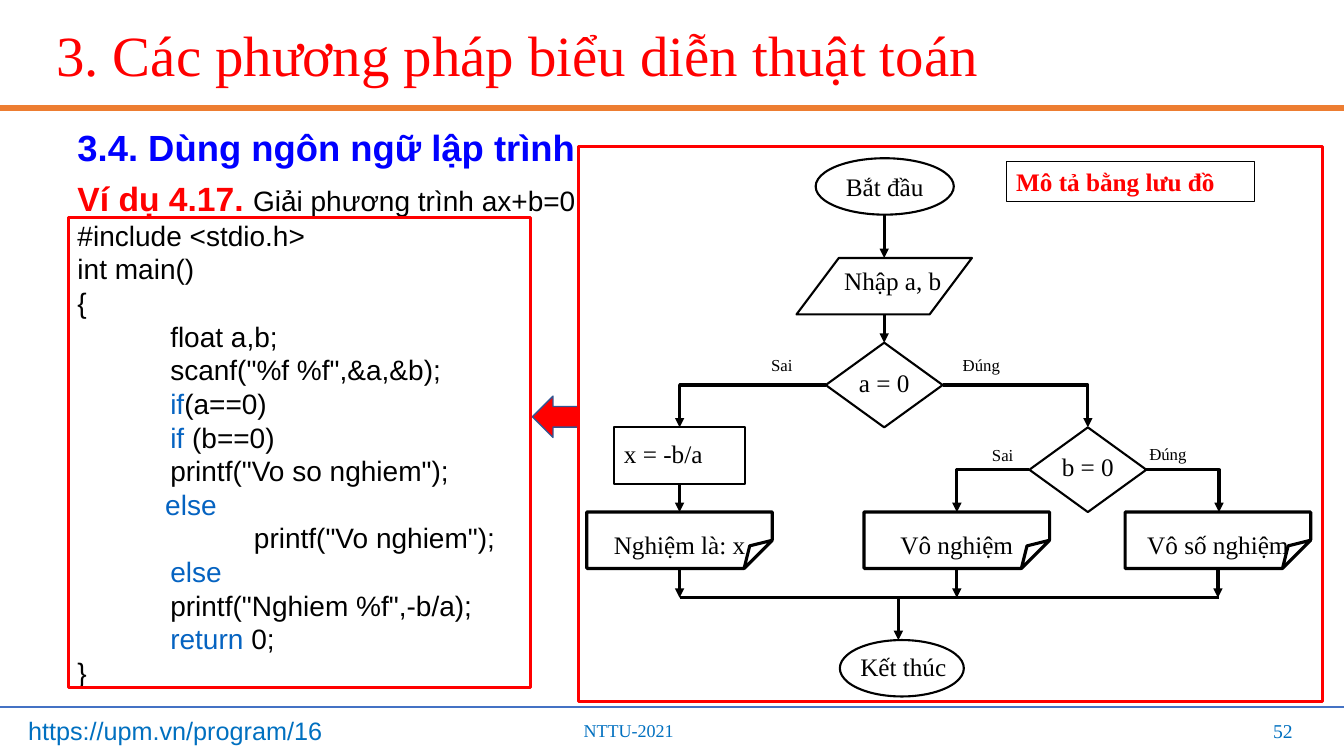
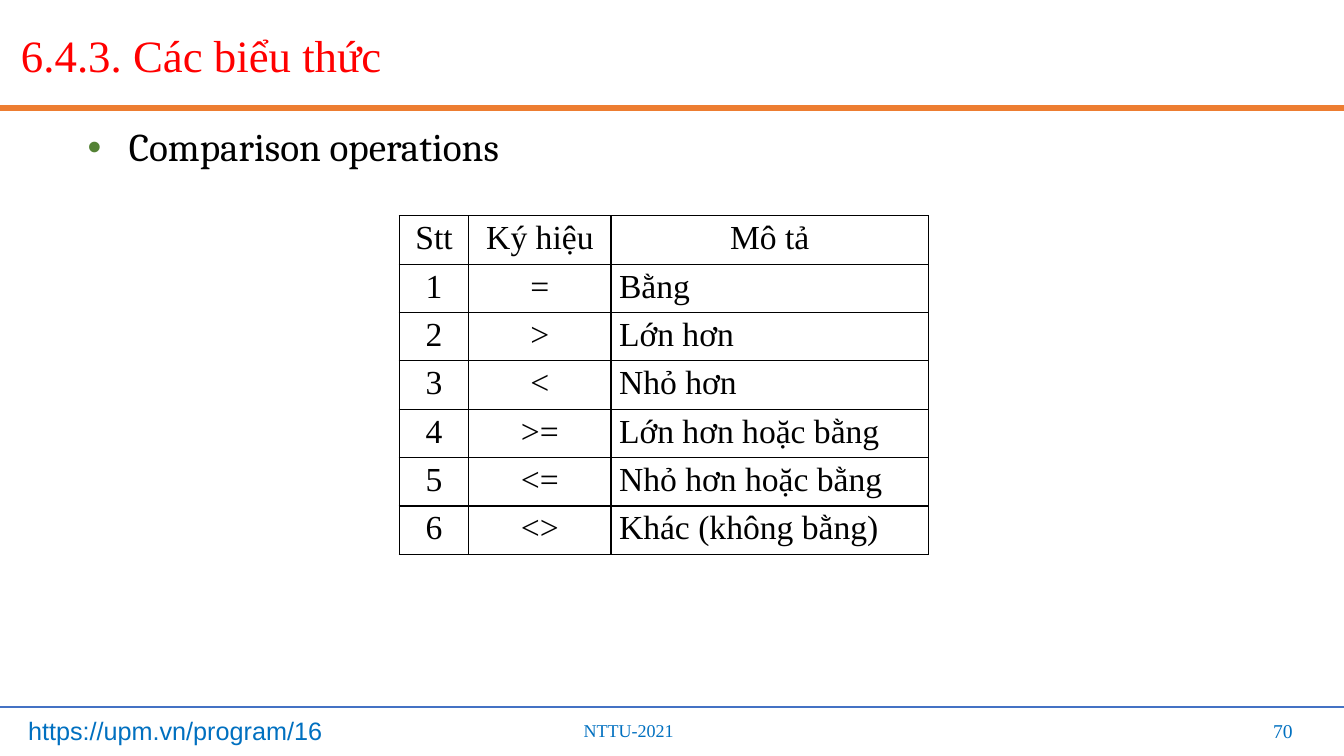
from lxml import etree
from pptx import Presentation
from pptx.dml.color import RGBColor
from pptx.enum.shapes import MSO_CONNECTOR, MSO_SHAPE
from pptx.enum.text import MSO_ANCHOR, PP_ALIGN
from pptx.oxml.ns import qn
from pptx.util import Pt

LEFT, CENTER, RIGHT = PP_ALIGN.LEFT, PP_ALIGN.CENTER, PP_ALIGN.RIGHT
TOP, MIDDLE = MSO_ANCHOR.TOP, MSO_ANCHOR.MIDDLE
STRAIGHT = MSO_CONNECTOR.STRAIGHT
RECTANGLE, OVAL, DIAMOND = MSO_SHAPE.RECTANGLE, MSO_SHAPE.OVAL, MSO_SHAPE.DIAMOND
PARALLELOGRAM, FOLDED = MSO_SHAPE.PARALLELOGRAM, MSO_SHAPE.FOLDED_CORNER
LEFT_ARROW = MSO_SHAPE.LEFT_ARROW

PX = 9144
WIDTH, HEIGHT = 1333, 750
SERIF, SANS, BODY_SERIF = "Times New Roman", "Arial", "Cambria"
COLORS = {
    "black": "000000", "red": "FF0000", "heading": "0000FF",
    "keyword": "0563C1", "footer": "0070C0", "orange": "ED7D31",
    "rule": "4472C4", "arrow_edge": "325491", "bullet": "548235",
}

CODE = [
    (0, [("#include <stdio.h>", "black")]),
    (0, [("int main()", "black")]),
    (0, [("{", "black")]),
    (92, [("float a,b;", "black")]),
    (92, [('scanf("%f %f",&a,&b);', "black")]),
    (92, [("if", "keyword"), ("(a==0)", "black")]),
    (92, [("if ", "keyword"), ("(b==0)", "black")]),
    (92, [('printf("Vo so nghiem");', "black")]),
    (87, [("else", "keyword")]),
    (175, [('printf("Vo nghiem");', "black")]),
    (92, [("else", "keyword")]),
    (92, [('printf("Nghiem %f",-b/a);', "black")]),
    (92, [("return", "keyword"), (" 0;", "black")]),
    (0, [("}", "black")]),
]

OPERATORS = [
    ("Stt", "Ký hiệu", "Mô tả"),
    ("1", "=", "Bằng"),
    ("2", ">", "Lớn hơn"),
    ("3", "<", "Nhỏ hơn"),
    ("4", ">=", "Lớn hơn hoặc bằng"),
    ("5", "<=", "Nhỏ hơn hoặc bằng"),
    ("6", "<>", "Khác (không bằng)"),
]


def emu(*lengths):
    return [length * PX for length in lengths]


def rgb(name):
    return RGBColor.from_string(COLORS[name])


def add_span(para, text, size, font=SERIF, color="black", bold=False):
    span = para.add_run()
    span.text = text
    span.font.size, span.font.name, span.font.bold = Pt(size), font, bold
    span.font.color.rgb = rgb(color)


def set_margins(holder, left, top, right, bottom):
    holder.margin_left, holder.margin_top, holder.margin_right, holder.margin_bottom = emu(
        left, top, right, bottom)


def add_text(page, box, anchor=TOP):
    frame = page.shapes.add_textbox(*emu(*box)).text_frame
    frame.word_wrap = True
    frame.vertical_anchor = anchor
    set_margins(frame, 10, 5, 10, 5)
    return frame


def add_label(page, box, text, size, font=SERIF, color="black", align=LEFT, anchor=TOP):
    para = add_text(page, box, anchor).paragraphs[0]
    para.alignment = align
    add_span(para, text, size, font, color)
    return para


def add_outline(page, preset, box, color="black", weight=1.5):
    shape = page.shapes.add_shape(preset, *emu(*box))
    shape.shadow.inherit = False
    shape.fill.background()
    shape.line.color.rgb = rgb(color)
    shape.line.width = Pt(weight)
    return shape


def set_adjustment(shape, value):
    geometry = shape._element.spPr.find(qn("a:prstGeom"))
    for child in list(geometry):
        geometry.remove(child)
    guides = etree.SubElement(geometry, qn("a:avLst"))
    etree.SubElement(guides, qn("a:gd"), name="adj", fmla=f"val {value}")


def add_node(page, preset, box, text, margins=(0, 0, 0, 0), align=CENTER,
             anchor=MIDDLE, weight=1.5, color="black", bold=False):
    shape = add_outline(page, preset, box, weight=weight)
    frame = shape.text_frame
    frame.word_wrap = False
    frame.vertical_anchor = anchor
    set_margins(frame, *margins)
    para = frame.paragraphs[0]
    para.alignment = align
    add_span(para, text, 18, color=color, bold=bold)
    return shape


def add_arrowhead(item):
    etree.SubElement(item.line._get_or_add_ln(), qn("a:tailEnd"), type="triangle")


def add_line(page, start, end, color="black", weight=2.25, arrow=False, source=None, target=None):
    line = page.shapes.add_connector(STRAIGHT, *emu(*start, *end))
    line.line.color.rgb = rgb(color)
    line.line.width = Pt(weight)
    if arrow:
        add_arrowhead(line)
    etree.SubElement(line._element.spPr, qn("a:effectLst"))
    if source is not None:
        line.begin_connect(source, 2)
    if target is not None:
        line.end_connect(target, 0)


def add_elbow(page, start, end):
    builder = page.shapes.build_freeform(*start, scale=PX)
    builder.add_line_segments([(end[0], start[1]), end], close=False)
    elbow = builder.convert_to_shape()
    elbow.shadow.inherit = False
    elbow.fill.background()
    elbow.line.color.rgb = rgb("black")
    elbow.line.width = Pt(2.25)
    add_arrowhead(elbow)


def add_page(deck, title, title_left, title_size, number):
    page = deck.slides.add_slide(deck.slide_layouts[6])
    add_line(page, (0, 107), (WIDTH, 107), "orange", 4.5)
    add_line(page, (0, 701), (WIDTH, 701), "rule", 1.5)
    add_label(page, (569, 709, 178, 32), "NTTU-2021", 12.9, color="footer")
    add_label(page, (18, 705, 343, 40), "https://upm.vn/program/16", 18, SANS, "footer")
    add_label(page, (992, 705, 300, 40), number, 14, color="footer", align=RIGHT, anchor=MIDDLE)
    heading = add_label(page, (title_left, 3, WIDTH - title_left, 110), title,
                        title_size, color="red", anchor=MIDDLE)
    heading.line_spacing = 0.9
    return page


def add_program(page, box):
    left, top, width, height = box
    frame = add_text(page, (left - 1, top - 92, 1201, 573))
    para = frame.paragraphs[0]
    para.line_spacing = 0.9
    add_span(para, "3.4. Dùng ngôn ngữ lập trình", 26, SANS, "heading", True)
    para = frame.add_paragraph()
    para.line_spacing, para.space_before = 0.9, Pt(9.2)
    add_span(para, "Ví dụ 4.17. ", 24, SANS, "red", True)
    add_span(para, "Giải phương trình ax+b=0", 20, SANS)
    for indent, spans in CODE:
        para = frame.add_paragraph()
        para._p.get_or_add_pPr().set("marL", str(indent * PX))
        para.line_spacing, para.space_before = Pt(24), Pt(0)
        for text, color in spans:
            add_span(para, text, 20, SANS, color)
    add_outline(page, RECTANGLE, box, "red", 2.25)


def add_flowchart(page, box):
    left, top, width, height = box

    def at(x, y, *size):
        return (left + x, top + y, *size)

    add_node(page, OVAL, at(235, 12, 137, 56), "Bắt đầu")
    reading = add_node(page, PARALLELOGRAM, at(216, 111, 174, 56), "Nhập a, b", (17, 0, 0, 12))
    set_adjustment(reading, 75000)
    test_a = add_node(page, DIAMOND, at(245, 195, 116, 84), "a = 0", (0, 0, 0, 6))
    add_node(page, DIAMOND, at(447, 279, 116, 84), "b = 0", (0, 0, 0, 6))
    solve = add_node(page, RECTANGLE, at(35, 279, 130, 56), "x = -b/a", (10, 0, 10, 5), LEFT)
    add_node(page, OVAL, at(259, 490, 123, 56), "Kết thúc", (3, 0, 0, 4))

    join = 448
    results = []
    for center, text in ((100, "Nghiệm là: x"), (375, "Vô nghiệm"), (634, "Vô số nghiệm")):
        result = add_node(page, FOLDED, at(center - 92, 363, 184, 56), text,
                          (0, 17, 0, 0), anchor=TOP, weight=2.25)
        set_adjustment(result, 50000)
        add_line(page, at(center, 419), at(center, join), arrow=True, source=result)
        results.append(result)

    add_line(page, at(303, 68), at(303, 111), arrow=True)
    add_line(page, at(303, 167), at(303, 195), arrow=True, target=test_a)
    add_line(page, at(100, 335), at(100, 363), arrow=True, source=solve, target=results[0])
    add_line(page, at(100, join), at(635, join))
    add_line(page, at(317, join), at(317, 490), arrow=True)
    for start, end in (((245, 237), (100, 279)), ((361, 237), (505, 279)),
                       ((447, 321), (375, 363)), ((563, 321), (635, 363))):
        add_elbow(page, at(*start), at(*end))
    for x, y, text in ((181, 202, "Sai"), (371, 202, "Đúng"), (400, 291, "Sai"), (556, 290, "Đúng")):
        add_label(page, at(x, y, 72, 42), text, 12)

    add_outline(page, RECTANGLE, box, "red", 2.25)
    add_node(page, RECTANGLE, at(424, 15, 246, 40), "Mô tả bằng lưu đồ", (10, 5, 10, 5),
             LEFT, TOP, 0.75, "red", True)


def add_bullet_line(page, box, text):
    para = add_text(page, box).paragraphs[0]
    props = para._p.get_or_add_pPr()
    props.set("marL", str(51 * PX))
    props.set("indent", str(-41 * PX))
    color = etree.SubElement(props, qn("a:buClr"))
    etree.SubElement(color, qn("a:srgbClr"), val=COLORS["bullet"])
    etree.SubElement(props, qn("a:buFont"), typeface=SANS)
    etree.SubElement(props, qn("a:buChar"), char="•")
    para.line_spacing = 0.9
    add_span(para, text, 28, BODY_SERIF)


def add_borders(cell):
    props = cell._tc.get_or_add_tcPr()
    for position, side in enumerate(("a:lnL", "a:lnR", "a:lnT", "a:lnB")):
        border = etree.Element(qn(side), w=str(Pt(1)))
        fill = etree.SubElement(border, qn("a:solidFill"))
        etree.SubElement(fill, qn("a:srgbClr"), val=COLORS["black"])
        props.insert(position, border)


def add_operator_table(page, box):
    table = page.shapes.add_table(len(OPERATORS), 3, *emu(*box)).table
    table.first_row = table.horz_banding = False
    for column, width in zip(table.columns, (69, 141, 315)):
        column.width = width * PX
    for row_index, values in enumerate(OPERATORS):
        for column_index, text in enumerate(values):
            cell = table.cell(row_index, column_index)
            cell.fill.background()
            set_margins(cell, 8, 4, 8, 4)
            add_borders(cell)
            para = cell.text_frame.paragraphs[0]
            para.alignment = LEFT if row_index and column_index == 2 else CENTER
            add_span(para, text, 24)


def build_algorithm_page(deck):
    page = add_page(deck, "3. Các phương pháp biểu diễn thuật toán", 46, 40.6, "52")
    add_program(page, (68, 216, 458, 466))
    arrow = add_outline(page, LEFT_ARROW, (528, 393, 46, 41), "arrow_edge", 1)
    arrow.fill.solid()
    arrow.fill.fore_color.rgb = rgb("red")
    add_flowchart(page, (574, 145, 738, 551))


def build_operator_page(deck):
    page = add_page(deck, "6.4.3. Các biểu thức", 11, 32, "70")
    add_bullet_line(page, (67, 122, 1201, 574), "Comparison operations")
    add_operator_table(page, (396, 214, 525, 333))


def main():
    deck = Presentation()
    deck.slide_width, deck.slide_height = emu(WIDTH, HEIGHT)
    build_algorithm_page(deck)
    build_operator_page(deck)
    deck.save("out.pptx")


if __name__ == "__main__":
    main()
